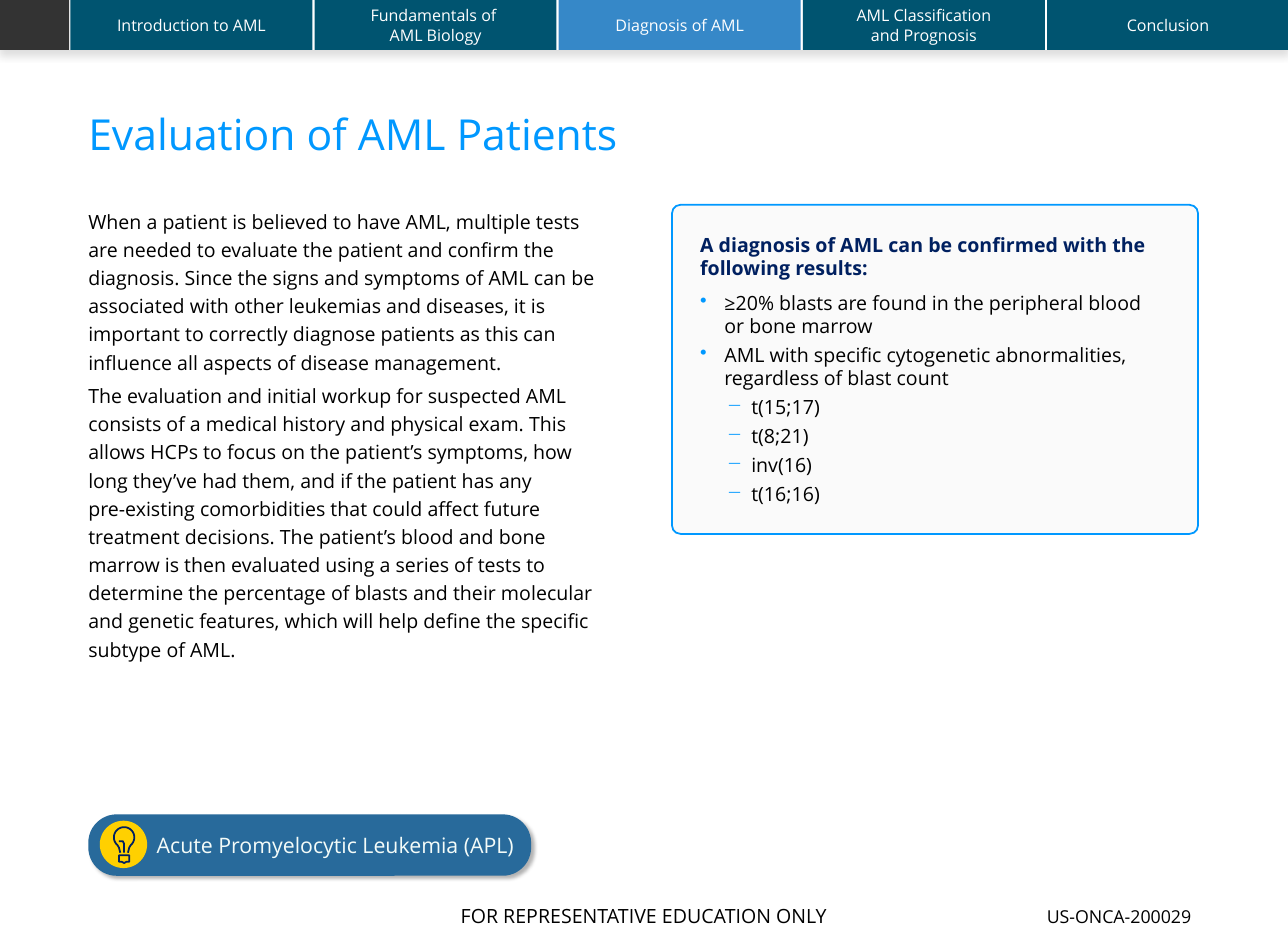
from copy import deepcopy
from math import cos, sin, radians

from lxml import etree
from pptx import Presentation
from pptx.dml.color import RGBColor
from pptx.enum.shapes import MSO_SHAPE
from pptx.enum.text import MSO_ANCHOR, PP_ALIGN
from pptx.oxml.ns import qn
from pptx.util import Inches, Pt

# Content
TABS = ["Introduction to AML", "Fundamentals of \vAML Biology", "Diagnosis of AML",
        "AML Classification\vand Prognosis", "Conclusion"]
CURRENT_TAB = "Diagnosis of AML"
TITLE = "Evaluation of AML Patients"
BODY = [
    "When a patient is believed to have AML, multiple tests are needed to evaluate the patient "
    "and confirm the diagnosis. Since the signs and symptoms of AML can be associated with other "
    "leukemias and diseases, it is important to correctly diagnose patients as this can influence "
    "all aspects of disease management.",
    "The evaluation and initial workup for suspected AML consists of a medical history and "
    "physical exam. This allows HCPs to focus on the patient’s symptoms, how long they’ve had "
    "them, and if the patient has any \vpre-existing comorbidities that could affect future "
    "treatment decisions. The patient’s blood and bone marrow is then evaluated using a series of "
    "tests to determine the percentage of blasts and their molecular and genetic features, which "
    "will help define the specific subtype of AML.",
]
RESULTS_HEAD = "A diagnosis of AML can be confirmed with the following results:"
RESULTS = [
    ("•", "≥20% blasts are found in the peripheral blood \vor bone marrow"),
    ("•", "AML with specific cytogenetic abnormalities, regardless of blast count"),
    ("−", "t(15;17)"), ("−", "t(8;21)"), ("−", "inv(16)"), ("−", "t(16;16)"),
]
BUTTON = "Acute Promyelocytic Leukemia (APL)"
FOOTER = "FOR REPRESENTATIVE EDUCATION ONLY"
CODE = "US-ONCA-200029 "

# Theme
THEME = dict(
    font="Open Sans", white="FFFFFF", black="000000", tab="005470", current="3688C8",
    corner="333333", accent="0098FF", navy="002060", panel="FAFAFA", button="286A9B",
    button_text="F4FCF9", yellow="FFD000",
    title_pt=24, button_pt=12, body_pt=11, code_pt=10, tab_pt=9,
)
INDENT = {"•": 0.19, "−": 0.40}
HANG = 0.19
SLIDE_W, SLIDE_H = 161 / 16, 22 / 3
LEFT, CONTENT_W, CONTENT_TOP = 0.69, 8.67, 1.6
BAR_H, TAB_LEFT, TAB_W, LAST_TAB_LEFT = 0.39, 0.55, 1.89, 8.18
TAB_PITCH = (LAST_TAB_LEFT - TAB_LEFT) / (len(TABS) - 1)

prs = Presentation()
prs.slide_width, prs.slide_height = Inches(SLIDE_W), Inches(SLIDE_H)
s = prs.slides.add_slide(prs.slide_layouts[6])


def color(name):
    return RGBColor.from_string(THEME[name])


def add_shape(kind, box, fill, line=None, adj=None, shadow=None):
    """shadow is opacity %, blur pt, distance pt, angle."""
    sp = s.shapes.add_shape(kind, *map(Inches, box))
    sp.shadow.inherit = False
    sp.fill.solid()
    sp.fill.fore_color.rgb = color(fill)
    if line:
        sp.line.color.rgb, sp.line.width = color(line), Pt(1)
    else:
        sp.line.fill.background()
    if adj is not None:
        sp.adjustments[0] = adj
    if shadow:
        alpha, blur, dist, angle = shadow
        effects = sp._element.spPr.find(qn("a:effectLst"))
        outer = etree.SubElement(effects, qn("a:outerShdw"), blurRad=str(Pt(blur)),
                                 dist=str(Pt(dist)), dir=str(angle * 60000), rotWithShape="0")
        clr = etree.SubElement(outer, qn("a:srgbClr"), val=THEME["black"])
        etree.SubElement(clr, qn("a:alpha"), val=str(alpha * 1000))
    return sp


def set_frame(sp, insets=(0, 0, 0, 0), anchor=MSO_ANCHOR.TOP):
    tf = sp.text_frame
    sides = ("margin_left", "margin_top", "margin_right", "margin_bottom")
    frame = dict(zip(sides, map(Inches, insets)), word_wrap=True, vertical_anchor=anchor)
    for name, value in frame.items():
        setattr(tf, name, value)
    return tf


def add_text(tf, text, size, ink, bold=False, bullet=None, indent=0, **fmt):
    p = tf.paragraphs[0]
    if p.runs:
        p = tf.add_paragraph()
    pPr = p._p.get_or_add_pPr()
    if bullet:
        indent = INDENT[bullet]
        pPr.set("indent", str(Inches(-HANG)))
        clr = etree.SubElement(pPr, qn("a:buClr"))
        etree.SubElement(clr, qn("a:srgbClr"), val=THEME["accent"])
        etree.SubElement(pPr, qn("a:buChar"), char=bullet)
    if indent:
        pPr.set("marL", str(Inches(indent)))
    for name, value in {"alignment": PP_ALIGN.LEFT, **fmt}.items():
        setattr(p, name, value)
    p.text = text
    for r in p.runs:
        for name, value in dict(name=THEME["font"], size=Pt(THEME[size]), bold=bold).items():
            setattr(r.font, name, value)
        r.font.color.rgb = color(ink)
    # Line breaks take the size of the text around them
    for br in p._p.findall(qn("a:br")):
        br.insert(0, deepcopy(p.runs[0]._r.rPr))


def add_textbox(box):
    return s.shapes.add_textbox(*map(Inches, box))


# Footer
sp = add_shape(MSO_SHAPE.RECTANGLE, (0, 6.97, SLIDE_W, 0.36), "white")
add_text(set_frame(sp, (0.1, 0.05, 0.1, 0.05), MSO_ANCHOR.MIDDLE), FOOTER, "body_pt", "black",
         alignment=PP_ALIGN.CENTER)
add_text(set_frame(add_textbox((8.07, 7.07, 1.38, 0.17))), CODE, "code_pt", "black",
         alignment=PP_ALIGN.CENTER)

# Navigation bar
add_shape(MSO_SHAPE.RECTANGLE, (0, 0, SLIDE_W, BAR_H), "white", shadow=(13, 4, 3, 90))
add_shape(MSO_SHAPE.RECTANGLE, (0, 0, 0.54, BAR_H), "corner")
for i, label in enumerate(TABS):
    sp = add_shape(MSO_SHAPE.RECTANGLE, (TAB_LEFT + i * TAB_PITCH, 0, TAB_W, BAR_H),
                   "current" if label == CURRENT_TAB else "tab")
    add_text(set_frame(sp, anchor=MSO_ANCHOR.MIDDLE), label, "tab_pt", "white",
             alignment=PP_ALIGN.CENTER)

# Title
add_text(set_frame(add_textbox((LEFT, 0.89, CONTENT_W, 0.36))), TITLE, "title_pt", "accent",
         line_spacing=0.9)

# Body in two columns
sp = add_textbox((LEFT, CONTENT_TOP, CONTENT_W, 3.78))
tf = set_frame(sp)
bodyPr = sp._element.txBody.find(qn("a:bodyPr"))
bodyPr.set("numCol", "2")
bodyPr.set("spcCol", str(Inches(0.5)))
for text in BODY:
    add_text(tf, text, "body_pt", "black", line_spacing=1.2, space_after=Pt(3))

# Results panel
sp = add_shape(MSO_SHAPE.ROUNDED_RECTANGLE, (5.25, CONTENT_TOP, 4.11, 2.57), "panel",
               line="accent", adj=0.026)
tf = set_frame(sp, (0.2, 0.2, 0.2, 0.2))
add_text(tf, RESULTS_HEAD, "body_pt", "navy", bold=True, space_after=Pt(6))
for bullet, text in RESULTS:
    add_text(tf, text, "body_pt", "black", bullet=bullet, space_after=Pt(3))

# Button
sp = add_shape(MSO_SHAPE.ROUNDED_RECTANGLE, (LEFT, 6.36, 3.46, 0.48), "button", adj=0.462,
               shadow=(30, 2, 2, 45))
add_text(set_frame(sp, (0.35, 0, 0, 0), MSO_ANCHOR.MIDDLE), BUTTON, "button_pt", "button_text",
         indent=0.12)

# Light bulb: glass, base and filament in one outline
add_shape(MSO_SHAPE.OVAL, (0.78, 6.41, 0.37, 0.37), "yellow")
CX, CY, R = 0.97, 6.54, 0.08
arc = [(CX + R * cos(radians(a)), CY + R * sin(radians(a))) for a in range(130, 411, 10)]
glass = [(0.94, 6.66), (0.93, 6.62), *arc, (1.01, 6.62), (1.0, 6.66)]
base = [(0.93, 6.68), (1.01, 6.68), (1.01, 6.73), (0.99, 6.73), (0.97, 6.74), (0.95, 6.73),
        (0.93, 6.73), (0.93, 6.68)]
filament = [(0.93, 6.57), (0.96, 6.57), (0.97, 6.59), (0.97, 6.66)]
strokes = [[(Inches(x), Inches(y)) for x, y in pts] for pts in (glass, base, filament)]
fb = s.shapes.build_freeform(*strokes[0][0])
for i, pts in enumerate(strokes):
    if i:
        fb.move_to(*pts[0])
    fb.add_line_segments(pts[1:], close=False)
bulb = fb.convert_to_shape()
bulb.shadow.inherit = False
bulb.fill.background()
bulb.line.color.rgb, bulb.line.width = color("navy"), Pt(1)

prs.save("out.pptx")
